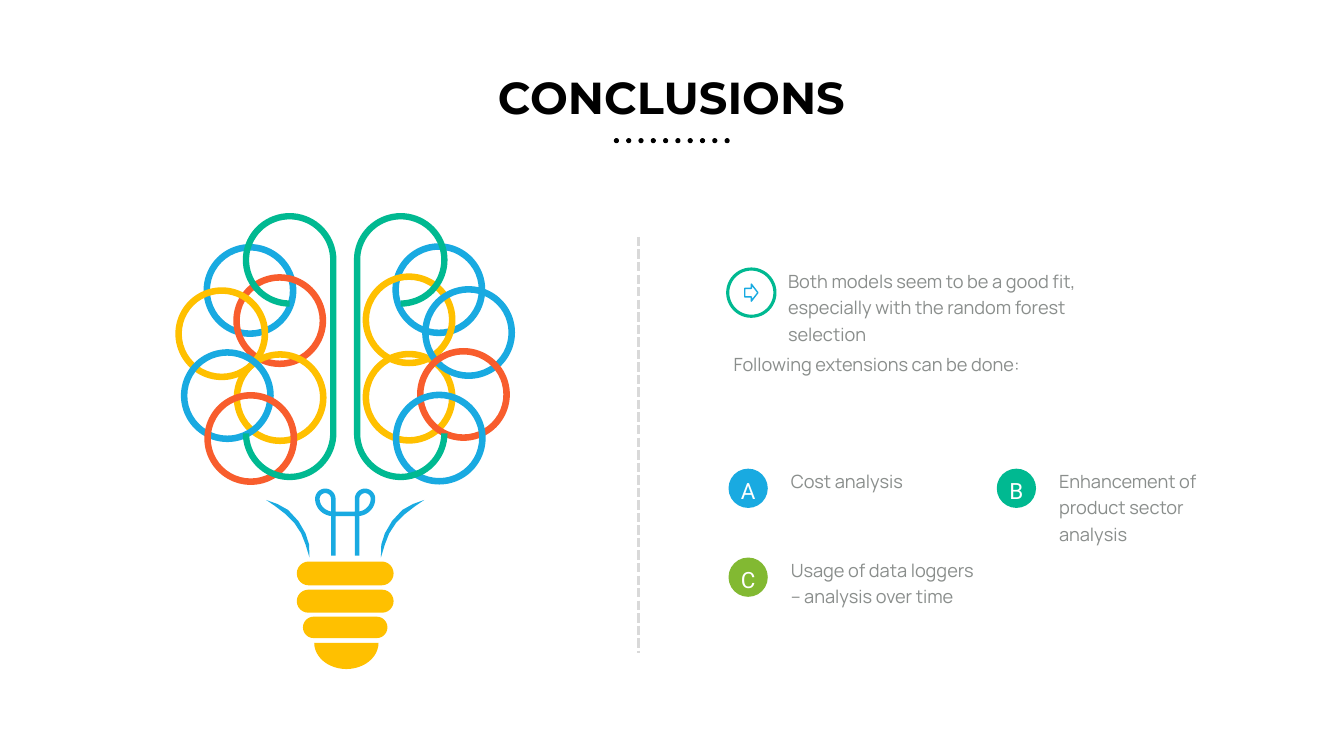
from math import cos, radians, sin

from lxml import etree
from pptx import Presentation
from pptx.dml.color import RGBColor
from pptx.enum.dml import MSO_LINE
from pptx.enum.shapes import MSO_CONNECTOR, MSO_SHAPE
from pptx.enum.text import MSO_ANCHOR, MSO_AUTO_SIZE, PP_ALIGN
from pptx.oxml.ns import qn
from pptx.util import Cm, Pt

CENTER, LEFT = PP_ALIGN.CENTER, PP_ALIGN.LEFT
MIDDLE = MSO_ANCHOR.MIDDLE
FIT_SHAPE = MSO_AUTO_SIZE.SHAPE_TO_FIT_TEXT
STRAIGHT = MSO_CONNECTOR.STRAIGHT
DASHED = MSO_LINE.SQUARE_DOT
ELLIPSE, DONUT = MSO_SHAPE.OVAL, MSO_SHAPE.DONUT
PILL, ARROW = MSO_SHAPE.ROUNDED_RECTANGLE, MSO_SHAPE.RIGHT_ARROW
DOT = MSO_SHAPE.FLOWCHART_CONNECTOR

BLUE, ORANGE, YELLOW = "19AAE1", "F85D2D", "FFC000"
TEAL, GREEN, GRAY, RULE = "00B991", "82B932", "8A8E8C", "D9D9D9"
BLACK, WHITE = "000000", "FFFFFF"

AXIS = 8.7  # vertical centre line of the bulb, cm
RING_SIZE = 2.34
RINGS = [  # centre x, centre y, colour
    (6.3, 7.32, BLUE), (7.05, 8.08, ORANGE), (7.06, 10.02, YELLOW),
    (5.59, 8.41, YELLOW), (5.73, 9.97, BLUE), (6.32, 11.05, ORANGE),
    (11.06, 7.3, BLUE), (10.31, 8.06, YELLOW), (10.31, 10.01, YELLOW),
    (11.81, 8.38, BLUE), (11.68, 9.94, ORANGE), (11.07, 11.04, BLUE),
]
FLARE = [
    (6.71, 12.6), (6.99, 12.7), (7.26, 12.85), (7.52, 13.13), (7.7, 13.44),
    (7.79, 13.72), (7.8, 14.05), (7.7, 13.72), (7.59, 13.44), (7.42, 13.18),
    (7.19, 12.95), (6.93, 12.75),
]
SCREW_BANDS = [(14.15, 2.44, 0.6), (14.86, 2.44, 0.58), (15.54, 2.13, 0.54)]
EXTENSIONS = [  # letter, left, top, colour, text
    ("A", 18.36, 11.81, BLUE, "Cost analysis"),
    ("B", 25.12, 11.81, TEAL, "Enhancement of product sector analysis"),
    ("C", 18.36, 14.05, GREEN, "Usage of data loggers – analysis over time"),
]


def rgb(code):
    return RGBColor.from_string(code)


def paint(shape, fill=None, line=None, weight=1):
    shape.shadow.inherit = False
    if fill:
        shape.fill.solid()
        shape.fill.fore_color.rgb = rgb(fill)
    else:
        shape.fill.background()
    if line:
        shape.line.color.rgb = rgb(line)
        shape.line.width = Pt(weight)
    else:
        shape.line.fill.background()


def add_preset(shapes, kind, left, top, width, height, **look):
    shape = shapes.add_shape(kind, Cm(left), Cm(top), Cm(width), Cm(height))
    paint(shape, **look)
    return shape


def add_outline(shapes, points, closed=True, **look):
    corners = [(Cm(x), Cm(y)) for x, y in points]
    builder = shapes.build_freeform(*corners[0])
    builder.add_line_segments(corners[1:], close=closed)
    paint(builder.convert_to_shape(), **look)


def write(frame, text, size=13, font="Manrope", color=GRAY, bold=False,
          align=LEFT, spacing=1.2):
    paragraph = frame.paragraphs[0]
    paragraph.alignment = align
    paragraph.line_spacing = spacing
    run = paragraph.add_run()
    run.text = text
    run.font.size = Pt(size)
    run.font.name = font
    run.font.bold = bold
    run.font.color.rgb = rgb(color)


def add_text(slide, text, left, top, width, height, **style):
    frame = slide.shapes.add_textbox(
        Cm(left), Cm(top), Cm(width), Cm(height)).text_frame
    frame.word_wrap = True
    frame.auto_size = FIT_SHAPE
    write(frame, text, **style)


def arc(cx, cy, rx, ry, start, end, steps=24):
    """Points on an ellipse; angles run clockwise from the right."""
    angles = [radians(start + (end - start) * i / steps)
              for i in range(steps + 1)]
    return [(cx + rx * cos(a), cy + ry * sin(a)) for a in angles]


def mirror(points):
    return [(2 * AXIS - x, y) for x, y in points]


def lobe_edge(radius):
    return (arc(7.3, 6.55, radius, radius, 90, 360, 54)
            + arc(7.3, 10.92, radius, radius, 0, 180, 36))


def add_bulb(slide):
    bulb = slide.shapes.add_group_shape().shapes

    # Brain of rings inside two lobes
    for x, y, color in RINGS:
        ring = add_preset(bulb, DONUT, x - RING_SIZE / 2, y - RING_SIZE / 2,
                          RING_SIZE, RING_SIZE, fill=color)
        ring.adjustments[0] = 0.07
    lobe = lobe_edge(1.18) + lobe_edge(1.02)[::-1]
    for half in (lobe, mirror(lobe)):
        add_outline(bulb, half, fill=TEAL)

    # Neck and filament
    for flare in (FLARE, mirror(FLARE)):
        add_outline(bulb, flare, fill=BLUE)
    wire = ([(8.4, 14.0)] + arc(8.2, 12.57, 0.2, 0.2, 360, 180)
            + arc(8.4, 12.57, 0.4, 0.38, 180, 90))
    add_outline(bulb, wire + mirror(wire)[::-1], closed=False,
                line=BLUE, weight=3.25)

    # Screw base
    for top, width, height in SCREW_BANDS:
        band = add_preset(bulb, PILL, AXIS - width / 2, top, width, height,
                          fill=YELLOW)
        band.adjustments[0] = 0.5
    add_outline(bulb, arc(AXIS + 0.03, 16.2, 0.81, 0.66, 0, 180), fill=YELLOW)


def add_divider(slide):
    divider = slide.shapes.add_connector(
        STRAIGHT, Cm(16.1), Cm(5.97), Cm(16.1), Cm(16.46))
    divider.line.color.rgb = rgb(RULE)
    divider.line.width = Pt(2.25)
    divider.line.dash_style = DASHED
    etree.SubElement(divider._element.spPr, qn("a:effectLst"))


def add_extension(slide, letter, left, top, color, text):
    badge = add_preset(slide.shapes, ELLIPSE, left, top, 0.99, 0.99, fill=color)
    frame = badge.text_frame
    frame.margin_left = frame.margin_right = 0
    frame.margin_top = frame.margin_bottom = 0
    frame.vertical_anchor = MIDDLE
    write(frame, letter, size=16, font="Roboto", color=WHITE, align=CENTER)
    add_text(slide, text, left + 1.32, top - 0.19, 5.29, 0.89)


def main():
    deck = Presentation()
    deck.slide_width, deck.slide_height = Cm(33.87), Cm(19.05)
    slide = deck.slides.add_slide(deck.slide_layouts[6])

    add_bulb(slide)
    add_divider(slide)

    # Main finding
    add_text(slide, "Both models seem to be a good fit, especially with the "
             "random forest selection", 19.61, 6.58, 9.3, 1.55)
    icon = slide.shapes.add_group_shape().shapes
    add_preset(icon, ARROW, 18.77, 7.16, 0.33, 0.43, line=BLUE)
    add_preset(icon, ELLIPSE, 18.34, 6.78, 1.19, 1.19, line=TEAL, weight=2.25)

    # Possible extensions
    add_text(slide, "Following extensions can be done:", 18.24, 8.66, 13.16, 0.89)
    for extension in EXTENSIONS:
        add_extension(slide, *extension)

    # Title with a row of dots
    add_text(slide, "CONCLUSIONS", 8.76, 1.63, 16.33, 1.63, size=32,
             font="Montserrat", color=BLACK, bold=True, align=CENTER, spacing=1.0)
    dots = slide.shapes.add_group_shape().shapes
    for i in range(10):
        add_preset(dots, DOT, 15.47 + 0.31 * i, 3.48, 0.13, 0.13, fill=BLACK)

    deck.save("out.pptx")


if __name__ == "__main__":
    main()
